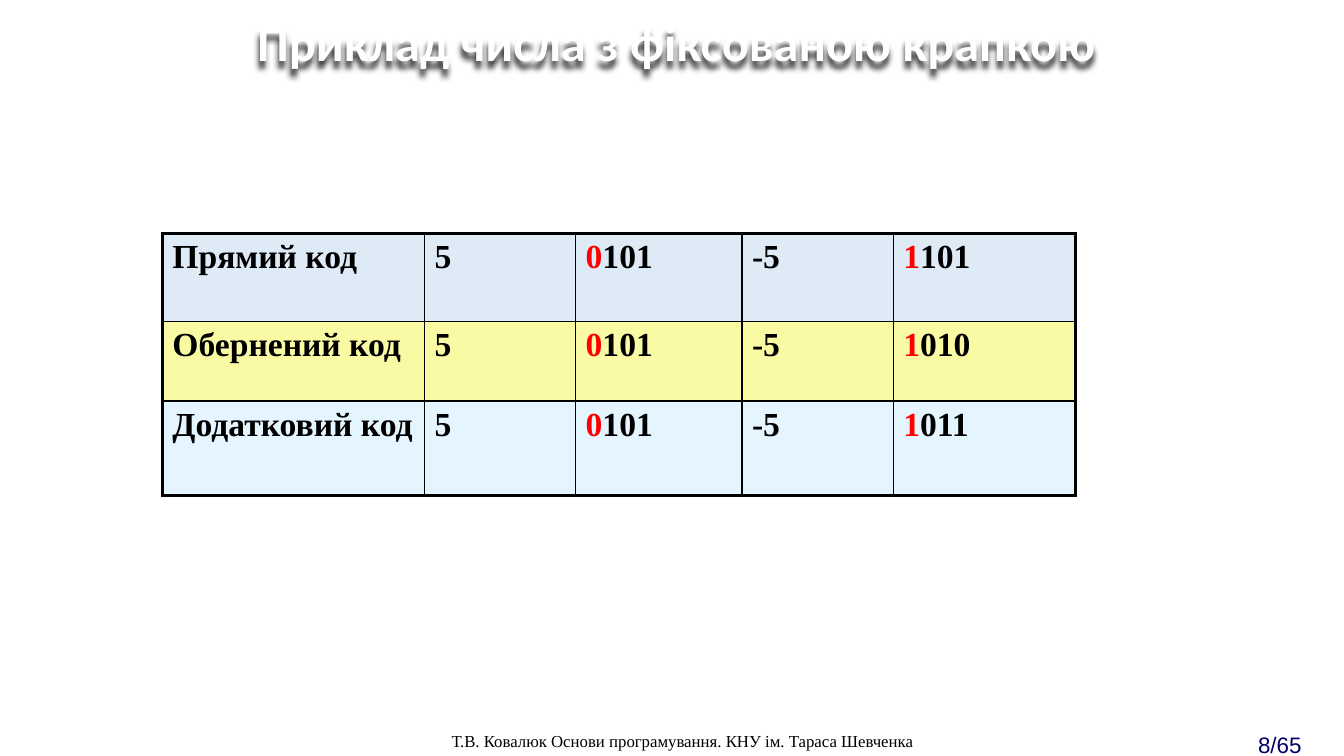
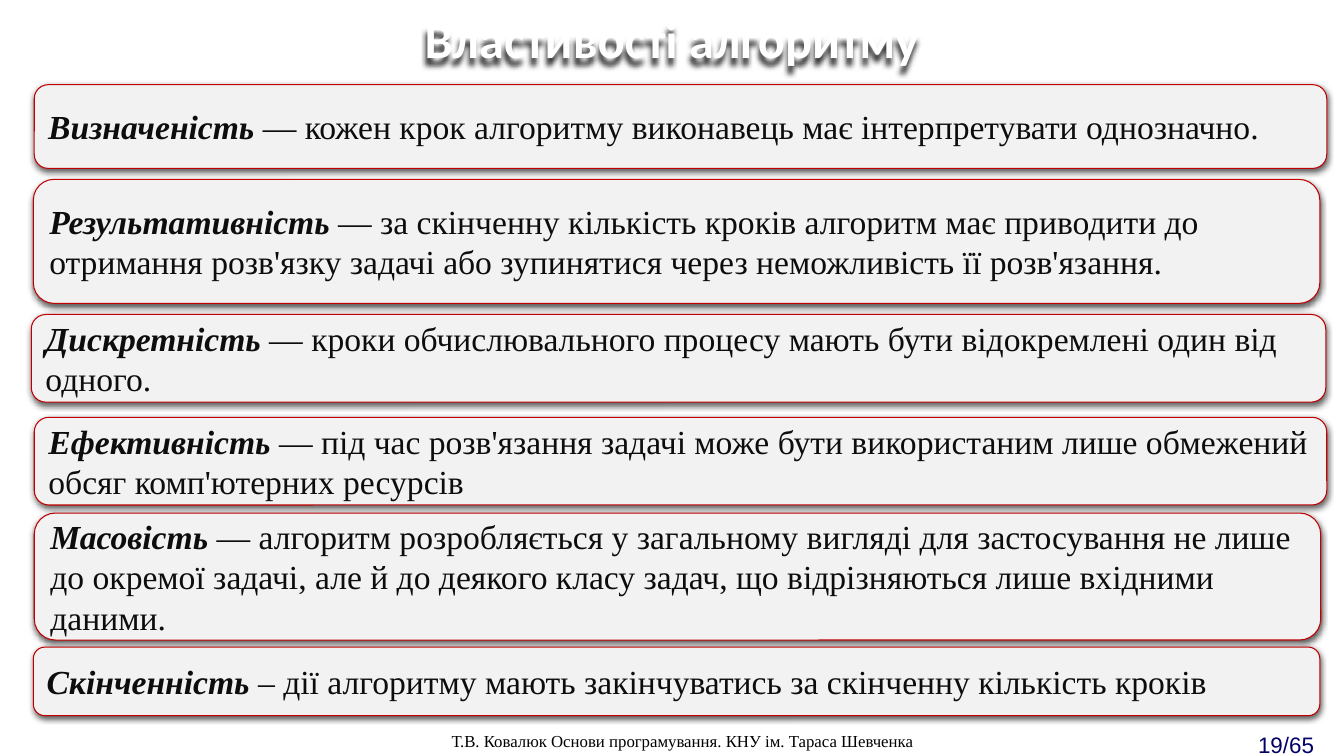
from dataclasses import dataclass
from typing import NamedTuple

import lxml.etree
import pptx
import pptx.dml.color
import pptx.enum.shapes
import pptx.enum.text
import pptx.oxml
import pptx.oxml.ns
import pptx.util

SLIDE_WIDTH = pptx.util.Inches(13.33)
SLIDE_HEIGHT = pptx.util.Inches(7.5)
TITLE_ONLY_LAYOUT = 5
FOOTER_TEXT = "Т.В. Ковалюк Основи програмування. КНУ ім. Тараса Шевченка"
SLIDE_TOTAL = 65


@dataclass(frozen=True)
class Theme:
    serif: str = "Times New Roman"
    title_font: str = "Calibri"
    number_font: str = "Arial"
    title_size: float = 36
    body_size: float = 24
    number_size: float = 16
    footer_size: float = 12
    white: str = "FFFFFF"
    black: str = "000000"
    card_text: str = "0D0D0D"
    card_fill: str = "F2F2F2"
    card_line: str = "C00000"
    sign_bit: str = "FF0000"
    number: str = "000066"
    inner_border: float = 1
    outer_border: float = 2.25


THEME = Theme()


class Box(NamedTuple):
    """A rectangle in percent of the slide's width and height."""
    left: float
    top: float
    width: float
    height: float


class TextStyle(NamedTuple):
    font: str
    size: float
    color: str
    bold: bool = False
    italic: bool = False


class Shadow(NamedTuple):
    opacity: int
    blur: float
    distance: float
    angle: int


class CodeRow(NamedTuple):
    name: str
    positive: str
    negative: str
    fill: str
    height: float


class Card(NamedTuple):
    box: Box
    term: str
    definition: str


TITLE_STYLE = TextStyle(THEME.title_font, THEME.title_size, THEME.white, bold=True)
FOOTER_STYLE = TextStyle(THEME.serif, THEME.footer_size, THEME.black)
NUMBER_STYLE = TextStyle(THEME.number_font, THEME.number_size, THEME.number)
CELL_STYLE = TextStyle(THEME.serif, THEME.body_size, THEME.black, bold=True)
SIGN_STYLE = CELL_STYLE._replace(color=THEME.sign_bit)
DEFINITION_STYLE = TextStyle(THEME.serif, THEME.body_size, THEME.card_text)
TERM_STYLE = DEFINITION_STYLE._replace(bold=True, italic=True)

TITLE_SHADOW = Shadow(80, 4, 5, 110)
CARD_SHADOW = Shadow(63, 4.5, 1.5, 90)

FOOTER_BOX = Box(32.86, 96, 50.41, 4)
NUMBER_BOX = Box(92.87, 96, 7.13, 4)

CODE_COLUMNS = (19.5, 11.25, 12.38, 11.25, 13.58)
CODE_ROWS = (
    CodeRow("Прямий код", "0101", "1101", "DEEBF7", 11.6),
    CodeRow("Обернений код", "0101", "1010", "FAFAA4", 10.53),
    CodeRow("Додатковий код", "0101", "1011", "E5F5FF", 12.53),
)
CODE_TABLE_BOX = Box(12.08, 30.93, sum(CODE_COLUMNS),
                     sum(row.height for row in CODE_ROWS))

CARDS = (
    Card(Box(2.55, 11.2, 96.17, 11.07), "Визначеність",
         " — кожен крок алгоритму виконавець має інтерпретувати однозначно."),
    Card(Box(2.48, 23.73, 95.72, 16.4), "Результативність",
         " — за скінченну кількість кроків алгоритм має приводити до отримання "
         "розв'язку задачі або зупинятися через неможливість її розв'язання."),
    Card(Box(2.33, 41.6, 96.32, 11.6), "Дискретність",
         " — кроки обчислювального процесу мають бути відокремлені один від одного."),
    Card(Box(2.55, 55.2, 96.17, 11.6), "Ефективність",
         " — під час розв'язання задачі може бути використаним лише обмежений "
         "обсяг комп'ютерних ресурсів"),
    Card(Box(2.55, 67.87, 95.72, 16.8), "Масовість",
         " — алгоритм розробляється у загальному вигляді для застосування не лише "
         "до окремої задачі, але й до деякого класу задач, що відрізняються лише "
         "вхідними даними."),
    Card(Box(2.48, 85.6, 95.72, 9.07), "Скінченність ",
         "– дії алгоритму мають закінчуватись за скінченну кількість кроків"),
)


def across(share: float) -> int:
    return round(SLIDE_WIDTH * share / 100)


def down(share: float) -> int:
    return round(SLIDE_HEIGHT * share / 100)


def place(box: Box) -> tuple[int, int, int, int]:
    return across(box.left), down(box.top), across(box.width), down(box.height)


def rgb(color: str) -> pptx.dml.color.RGBColor:
    return pptx.dml.color.RGBColor.from_string(color)


def add_run(paragraph, text: str, style: TextStyle) -> None:
    run = paragraph.add_run()
    run.text = text
    font = run.font
    font.name, font.size = style.font, pptx.util.Pt(style.size)
    font.bold, font.italic = style.bold, style.italic
    font.color.rgb = rgb(style.color)


def add_child(parent, tag: str, **attributes: str):
    child = lxml.etree.SubElement(parent, pptx.oxml.ns.qn(tag))
    for name, value in attributes.items():
        child.set(name, value)
    return child


def cast_shadow(shape, shadow: Shadow) -> None:
    shape.shadow.inherit = False
    effects = shape.element.spPr.find(pptx.oxml.ns.qn("a:effectLst"))
    outer = add_child(effects, "a:outerShdw",
                      blurRad=str(pptx.util.Pt(shadow.blur)),
                      dist=str(pptx.util.Pt(shadow.distance)),
                      dir=str(shadow.angle * 60000), algn="t", rotWithShape="0")
    color = add_child(outer, "a:srgbClr", val=THEME.black)
    add_child(color, "a:alpha", val=str(shadow.opacity * 1000))


def add_text_box(slide, box: Box, text: str, style: TextStyle) -> None:
    frame = slide.shapes.add_textbox(*place(box)).text_frame
    frame.word_wrap = True
    add_run(frame.paragraphs[0], text, style)


def add_titled_slide(presentation, title: str, box: Box, number: int,
                     line_spacing: float = 1.0):
    """Add a slide with the shared title style, footer and slide number."""
    slide = presentation.slides.add_slide(
        presentation.slide_layouts[TITLE_ONLY_LAYOUT])
    shape = slide.shapes.title
    shape.left, shape.top, shape.width, shape.height = place(box)
    shape.fill.background()
    cast_shadow(shape, TITLE_SHADOW)
    frame = shape.text_frame
    frame.auto_size = pptx.enum.text.MSO_AUTO_SIZE.NONE
    frame.vertical_anchor = pptx.enum.text.MSO_ANCHOR.MIDDLE
    paragraph = frame.paragraphs[0]
    paragraph.alignment = pptx.enum.text.PP_ALIGN.CENTER
    paragraph.line_spacing = line_spacing
    add_run(paragraph, title, TITLE_STYLE)
    add_text_box(slide, NUMBER_BOX, f"{number}/{SLIDE_TOTAL}", NUMBER_STYLE)
    add_text_box(slide, FOOTER_BOX, FOOTER_TEXT, FOOTER_STYLE)
    return slide


def set_borders(cell, outer_sides: dict[str, bool]) -> None:
    """Draw the four sides, thicker where a side lies on the table's edge."""
    properties = cell._tc.get_or_add_tcPr()
    for side, is_outer in outer_sides.items():
        width = THEME.outer_border if is_outer else THEME.inner_border
        line = add_child(properties, f"a:ln{side}", w=str(pptx.util.Pt(width)))
        fill = add_child(line, "a:solidFill")
        add_child(fill, "a:srgbClr", val=THEME.black)


def add_code_table(slide) -> None:
    table = slide.shapes.add_table(len(CODE_ROWS), len(CODE_COLUMNS),
                                   *place(CODE_TABLE_BOX)).table
    table.first_row = table.horz_banding = False
    for column, width in zip(table.columns, CODE_COLUMNS):
        column.width = across(width)
    last_row, last_column = len(CODE_ROWS) - 1, len(CODE_COLUMNS) - 1
    for row_index, row in enumerate(CODE_ROWS):
        table.rows[row_index].height = down(row.height)
        texts = (row.name, "5", row.positive, "-5", row.negative)
        for column_index, text in enumerate(texts):
            cell = table.cell(row_index, column_index)
            set_borders(cell, {"L": column_index == 0,
                               "R": column_index == last_column,
                               "T": row_index == 0,
                               "B": row_index == last_row})
            cell.fill.solid()
            cell.fill.fore_color.rgb = rgb(row.fill)
            paragraph = cell.text_frame.paragraphs[0]
            if text in (row.positive, row.negative):
                add_run(paragraph, text[0], SIGN_STYLE)
                text = text[1:]
            add_run(paragraph, text, CELL_STYLE)


def add_card(slide, card: Card) -> None:
    shape = slide.shapes.add_shape(
        pptx.enum.shapes.MSO_SHAPE.ROUNDED_RECTANGLE, *place(card.box))
    shape.fill.solid()
    shape.fill.fore_color.rgb = rgb(THEME.card_fill)
    shape.line.color.rgb = rgb(THEME.card_line)
    shape.line.width = pptx.util.Pt(0.75)
    cast_shadow(shape, CARD_SHADOW)
    frame = shape.text_frame
    frame.word_wrap = True
    frame.vertical_anchor = pptx.enum.text.MSO_ANCHOR.MIDDLE
    paragraph = frame.paragraphs[0]
    paragraph.alignment = pptx.enum.text.PP_ALIGN.LEFT
    add_run(paragraph, card.term, TERM_STYLE)
    add_run(paragraph, card.definition, DEFINITION_STYLE)


def main() -> None:
    presentation = pptx.Presentation()
    presentation.slide_width = SLIDE_WIDTH
    presentation.slide_height = SLIDE_HEIGHT

    codes_slide = add_titled_slide(
        presentation, "Приклад числа з фіксованою крапкою",
        Box(18.08, 0.8, 64.52, 9.47), 8)
    add_code_table(codes_slide)

    properties_slide = add_titled_slide(
        presentation, "Властивості алгоритму", Box(0, 0, 100, 11.2), 19,
        line_spacing=0.9)
    for card in CARDS:
        add_card(properties_slide, card)

    presentation.save("out.pptx")


if __name__ == "__main__":
    main()
